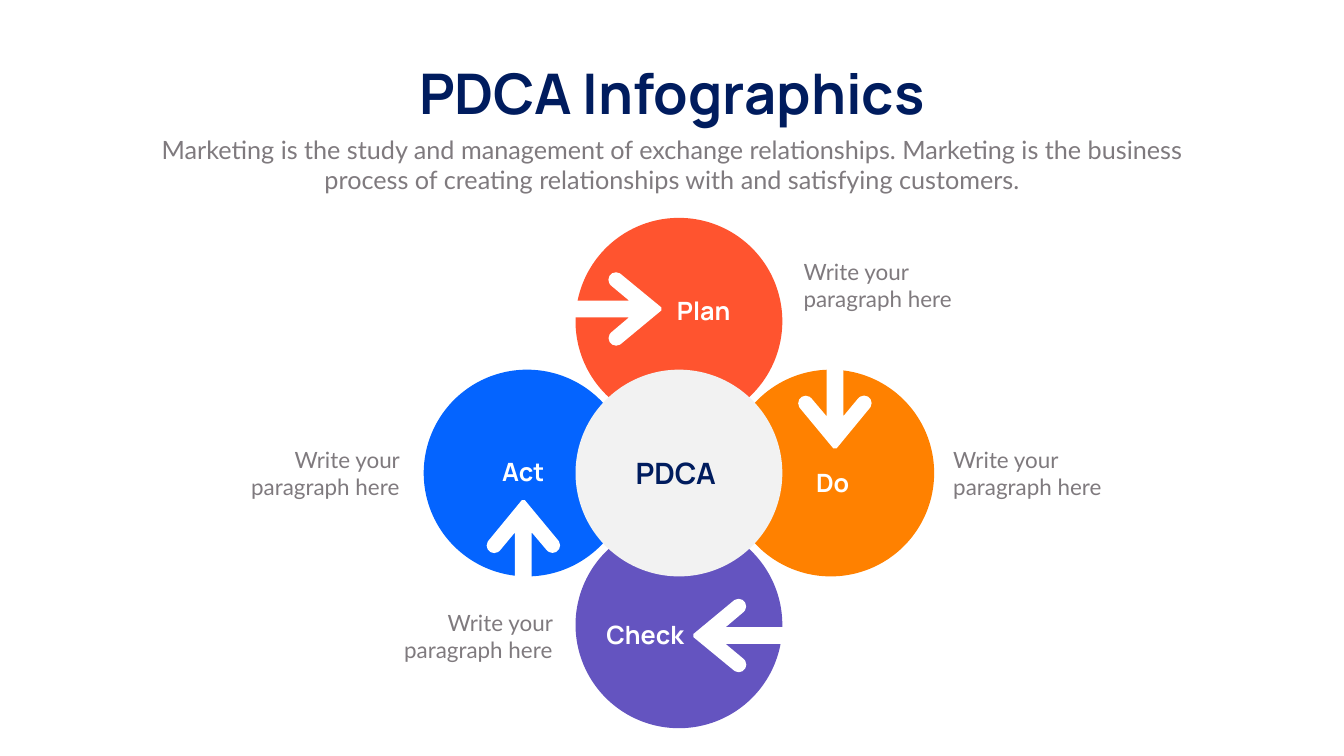
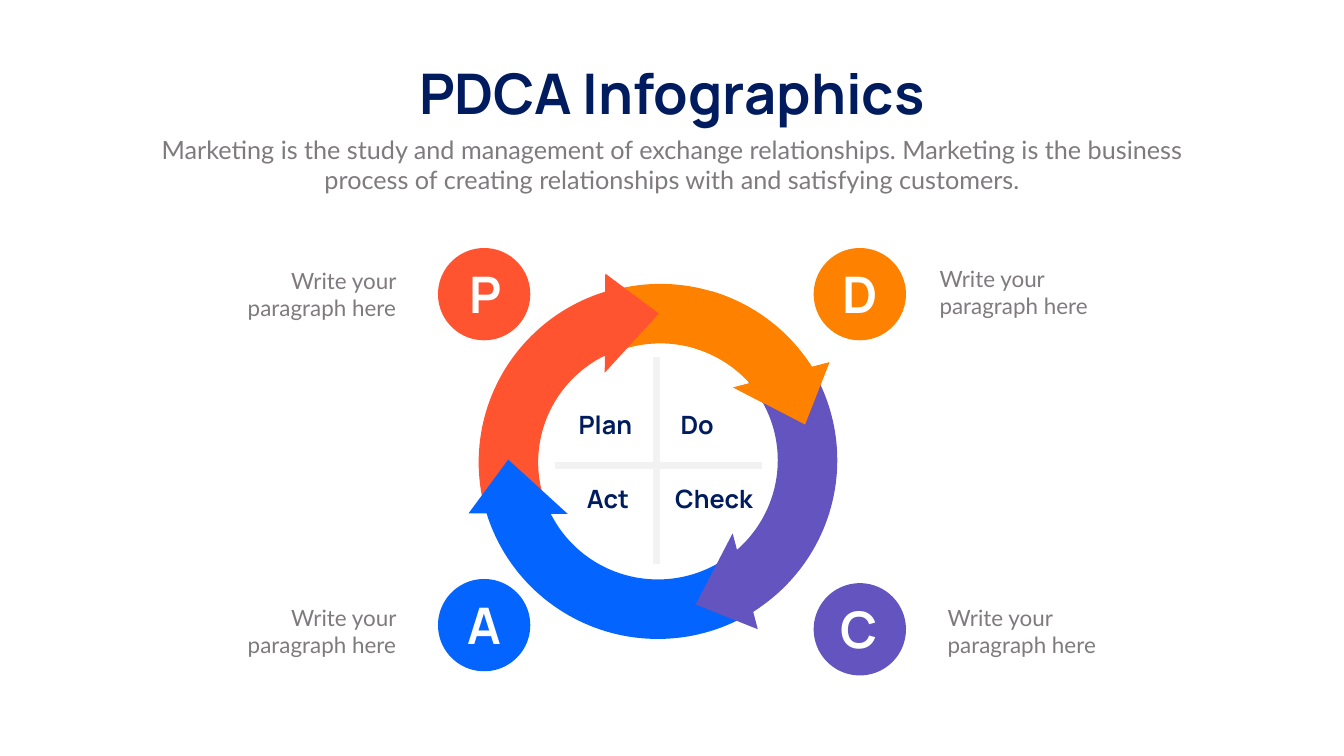
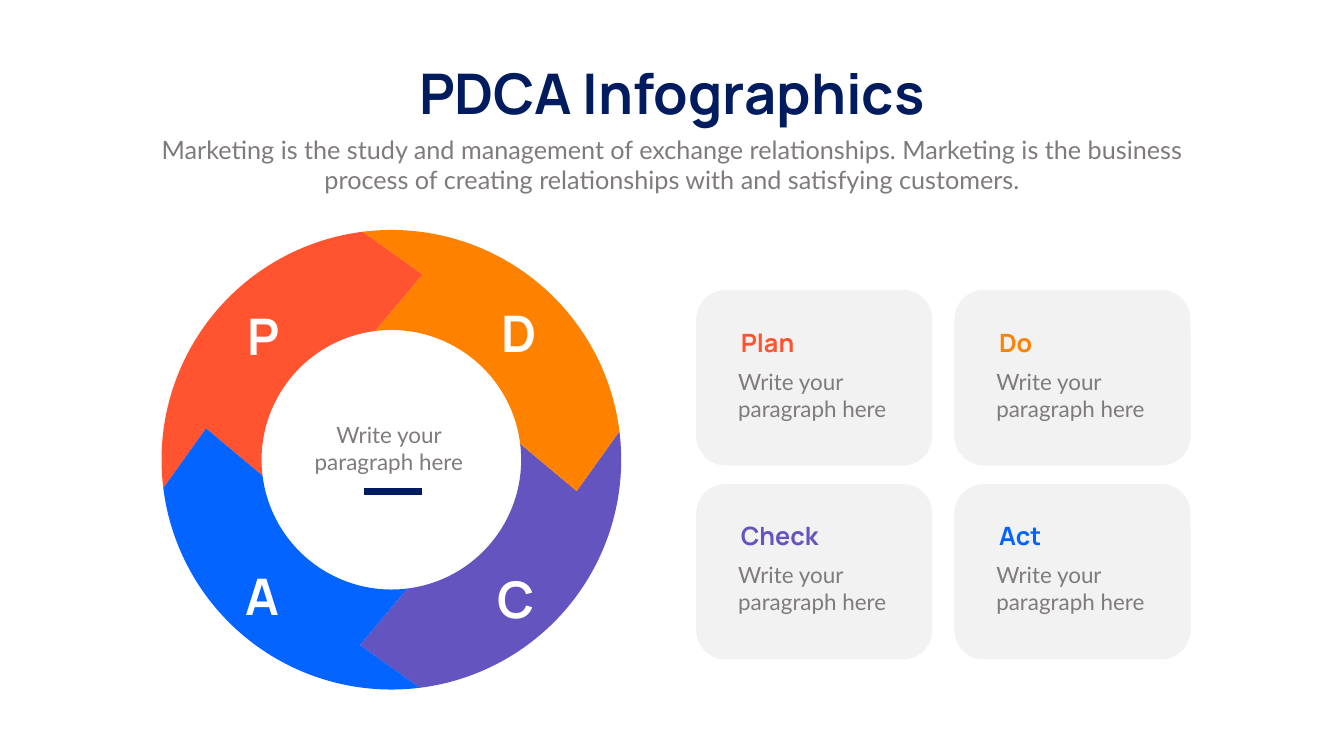
"""Build three PDCA infographic slides: petals, arrow cycle and ring with cards."""
from dataclasses import dataclass
from math import cos, radians, sin

from lxml.etree import SubElement
from pptx import Presentation
from pptx.dml.color import RGBColor
from pptx.enum.shapes import MSO_CONNECTOR, MSO_SHAPE
from pptx.enum.text import MSO_AUTO_SIZE, PP_ALIGN
from pptx.oxml.ns import qn
from pptx.util import Cm, Pt


@dataclass(frozen=True)
class Theme:
    navy: str = "001C5E"
    grey: str = "7F7A7E"
    pale: str = "F2F2F2"
    white: str = "FFFFFF"
    plan: str = "FF542F"
    do: str = "FF8100"
    check: str = "6454C0"
    act: str = "0464FF"
    title: tuple = ("Manrope", 80, True)
    letter: tuple = ("Manrope", 72, True)
    hub: tuple = ("Manrope", 42, True)
    label: tuple = ("Manrope", 36, True)
    lead: tuple = ("Lato", 36, False)
    body: tuple = ("Lato", 32, False)


T = Theme()
L, C, R = PP_ALIGN.LEFT, PP_ALIGN.CENTER, PP_ALIGN.RIGHT
NOTE = "Write your paragraph here"
LEAD = ("Marketing is the study and management of exchange relationships. "
        "Marketing is the business process of creating relationships with "
        "and satisfying customers.")


def paint(sp, color):
    sp.shadow.inherit = False
    sp.fill.solid()
    sp.fill.fore_color.rgb = RGBColor.from_string(color)
    sp.line.fill.background()
    return sp


def text(s, words, x, y, w, h, style, color, align=L, wrap=True):
    tf = s.shapes.add_textbox(Cm(x), Cm(y), Cm(w), Cm(h)).text_frame
    tf.word_wrap = wrap
    tf.auto_size = MSO_AUTO_SIZE.SHAPE_TO_FIT_TEXT
    p = tf.paragraphs[0]
    p.alignment = align
    r = p.add_run()
    r.text = words
    r.font.name, size, r.font.bold = style
    r.font.size = Pt(size)
    r.font.color.rgb = RGBColor.from_string(color)


prs = Presentation()
prs.slide_width, prs.slide_height = Cm(67.72), Cm(38.1)
petals, cycle, ring = [prs.slides.add_slide(prs.slide_layouts[6]) for _ in range(3)]
for s in (petals, cycle, ring):
    text(s, "PDCA Infographics", 19.94, 2.84, 27.84, 3.68, T.title, T.navy, C, wrap=False)
    text(s, LEAD, 7.42, 6.63, 52.88, 3.33, T.lead, T.grey, C)

d, step = 10.42, 7.65
for dx, dy, color in ((0, -1, T.plan), (0, 1, T.check), (1, 0, T.do),
                      (-1, 0, T.act), (0, 0, T.pale)):
    x, y = 34.21 + dx * step - d / 2, 23.84 + dy * step - d / 2
    paint(petals.shapes.add_shape(MSO_SHAPE.OVAL, Cm(x), Cm(y), Cm(d), Cm(d)), color)

arrow = [(2.47, -0.08), (0.44, -1.75), (0.19, -1.85, 0.38, 312, -42),
         (-0.06, -1.19, 0.38, 270, -138), (0.85, -0.42), (-2.07, -0.42),
         (-2.49, 0, 0.42, 270, -90), (-2.07, 0.42, 0.42, 180, -90), (0.85, 0.42),
         (-0.06, 1.19), (0.19, 1.85, 0.38, 228, -138), (0.44, 1.75, 0.38, 90, -42),
         (2.47, 0.08)]
outlines = [(petals, cx, cy, arrow, T.white, turn)
            for cx, cy, turn in ((30.85, 15.57, 0), (26.38, 27.69, 270),
                                 (37.43, 32.03, 180), (42.08, 20.12, 90))]

outer, inner, tip, lean = 11.58, 6.54, 9.47, 7.1
for start, color in ((0, T.check), (180, T.plan), (90, T.act), (270, T.do)):
    a = start - lean
    polar = [(outer, a), (outer, start, outer, a, lean),
             (outer, a + 90, outer, start, 90 - lean), (tip, a + 106.7),
             (inner, a + 90), (inner, a, inner, a + 90, -90), (tip, a + 16.7)]
    segment = [(rad * cos(radians(deg)), rad * sin(radians(deg)), *arc)
               for rad, deg, *arc in polar]
    outlines.append((ring, 19.72, 23.17, segment, color, 0))

for s, cx, cy, knots, color, turn in outlines:
    pts = [(Cm(cx + x), Cm(cy + y)) for x, y, *_ in knots]
    fb = s.shapes.build_freeform(*pts[0])
    fb.add_line_segments(pts[1:], close=True)
    sp = paint(fb.convert_to_shape(), color)
    sp.rotation = turn
    for edge, (_, _, *arc) in zip(sp._element.findall(".//" + qn("a:lnTo")), knots[1:]):
        if arc:
            rad, begin, sweep = arc
            curve = edge.makeelement(qn("a:arcTo"), {
                "wR": f"{Cm(rad):d}", "hR": f"{Cm(rad):d}",
                "stAng": f"{begin % 360 * 60000:.0f}", "swAng": f"{sweep * 60000:.0f}"})
            edge.getparent().replace(edge, curve)

s = petals
for name, x, y, w, align in (("Plan", 33.86, 14.75, 3.45, L), ("Do", 40.23, 23.42, 3.45, C),
                             ("Check", 30.3, 31.08, 4.95, L), ("Act", 24.64, 22.89, 3.45, C)):
    text(s, name, x, y, w, 1.8, T.label, T.white, align)
text(s, "PDCA", 29.77, 22.81, 8.56, 2.06, T.hub, T.navy, C)
for x, y, align in ((40.24, 12.9, L), (47.78, 22.35, L), (12.07, 22.35, R), (19.78, 30.58, R)):
    text(s, NOTE, x, y, 8.31, 3, T.body, T.grey, align)

s = cycle
group = s.shapes.add_group_shape()
wide, tall = 20.07, 19.99
for shapes, x, y, w, h, turn, start, color in (
        (group.shapes, 23.22, 13.31, wide, tall, 345, 159.47, T.do),
        (group.shapes, 23.16, 13.26, tall, wide, 270, 153.54, T.plan),
        (group.shapes, 23.11, 13.21, wide, tall, 180, 141.16, T.act),
        (group.shapes, 23.16, 13.18, tall, wide, 75, 146.55, T.check),
        (s.shapes, 23.24, 13.31, wide, tall, 345, 181.07, T.do)):
    sp = paint(shapes.add_shape(MSO_SHAPE.CIRCULAR_ARROW, Cm(x), Cm(y), Cm(w), Cm(h)), color)
    sp.rotation = turn
    for i, value in enumerate((0.15, 12.7, 203.49, start, 0.125)):
        sp.adjustments[i] = value

badges = (("D", 41, 12.5, T.do), ("C", 41, 29.39, T.check),
          ("P", 22.07, 12.5, T.plan), ("A", 22.07, 29.18, T.act))
for letter, x, y, color in badges:
    paint(s.shapes.add_shape(MSO_SHAPE.OVAL, Cm(x), Cm(y), Cm(4.65), Cm(4.65)), color)
for x, y, align in ((47.09, 13.23, L), (47.5, 30.31, L), (11.75, 13.34, R), (11.75, 30.31, R)):
    text(s, NOTE, x, y, 8.46, 3, T.body, T.grey, align)
for letter, x, y in (("P", 22.56, 13.13), ("D", 41.43, 13.16),
                     ("C", 41.4, 30), ("A", 22.5, 29.82)):
    text(s, letter, x, y, 3.78, 3.33, T.letter, T.white, C)
for name, x, y, w, align in (("Plan", 28.65, 20.5, 3.45, R), ("Do", 34.04, 20.5, 4.27, L),
                             ("Act", 28.8, 24.23, 3.15, R), ("Check", 33.43, 24.23, 4.75, R)):
    text(s, name, x, y, w, 1.8, T.label, T.navy, align)

s = ring
for letter, x, y in (("P", 11.38, 15.24), ("D", 24.28, 15.11),
                     ("C", 24.1, 28.5), ("A", 11.35, 28.37)):
    text(s, letter, x, y, 3.78, 3.33, T.letter, T.white, C)

cards = [(name, color, 35.1 + i % 2 * 13.01, i // 2) for i, (name, color) in enumerate(
    (("Plan", T.plan), ("Do", T.do), ("Check", T.check), ("Act", T.act)))]
for name, color, x, row in cards:
    sp = paint(s.shapes.add_shape(MSO_SHAPE.ROUNDED_RECTANGLE, Cm(x), Cm(14.63 + row * 9.78),
                                  Cm(11.86), Cm(8.81)), T.pale)
    sp.line.color.rgb = RGBColor.from_string(T.pale)
    sp.line.width = Pt(1)
for name, color, x, row in cards:
    text(s, NOTE, x + 1.84, 18.44 + row * 9.7, 8.15, 3, T.body, T.grey)
    text(s, name, x + 1.98, 16.38 + row * 9.7, 4.62, 1.8, T.label, color)
text(s, NOTE, 15.52, 21.11, 8.15, 3, T.body, T.grey, C)

for s, x1, y1, x2, y2, color in ((cycle, 33.07, 18.01, 33.07, 28.4, T.pale),
                                 (cycle, 38.4, 23.47, 27.97, 23.47, T.pale),
                                 (ring, 18.36, 24.77, 21.26, 24.77, T.navy)):
    cn = s.shapes.add_connector(MSO_CONNECTOR.STRAIGHT, Cm(x1), Cm(y1), Cm(x2), Cm(y2))
    cn.line.color.rgb = RGBColor.from_string(color)
    cn.line.width = Pt(10)
    SubElement(cn._element.spPr, qn("a:effectLst"))

prs.save("out.pptx")
